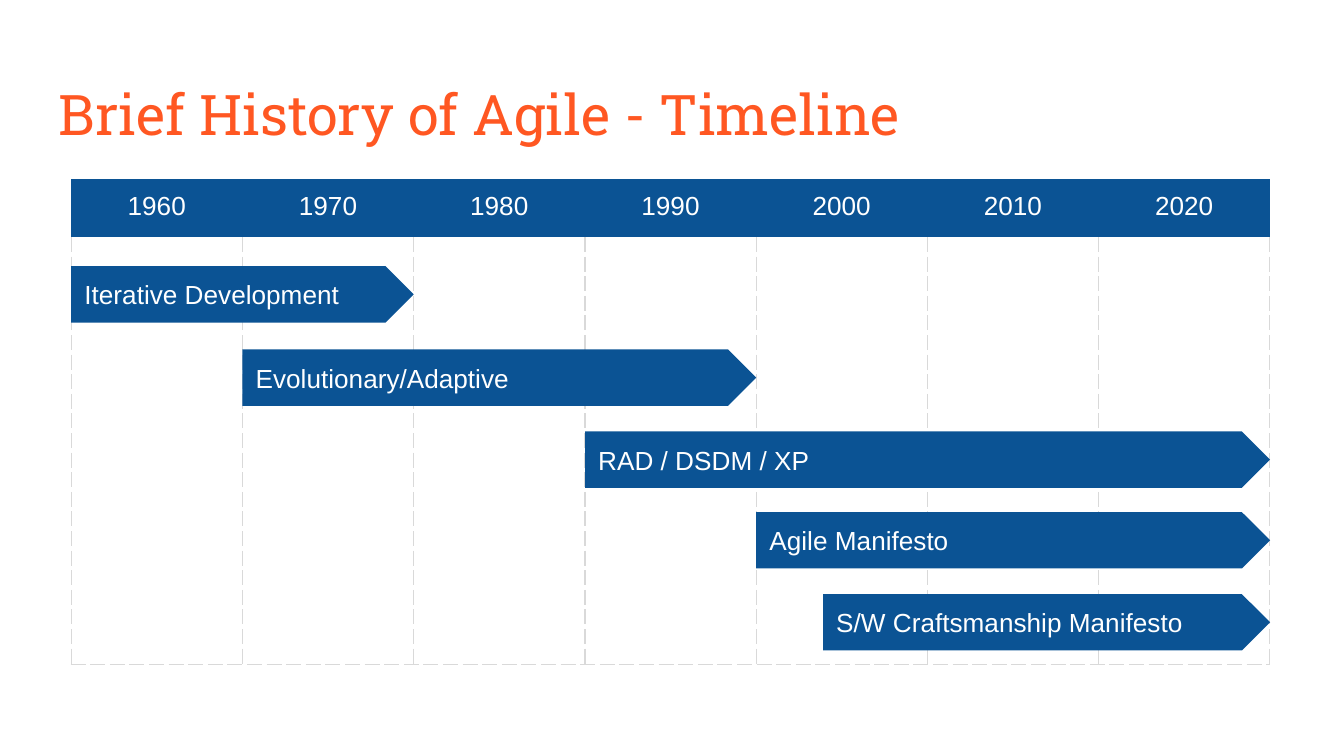
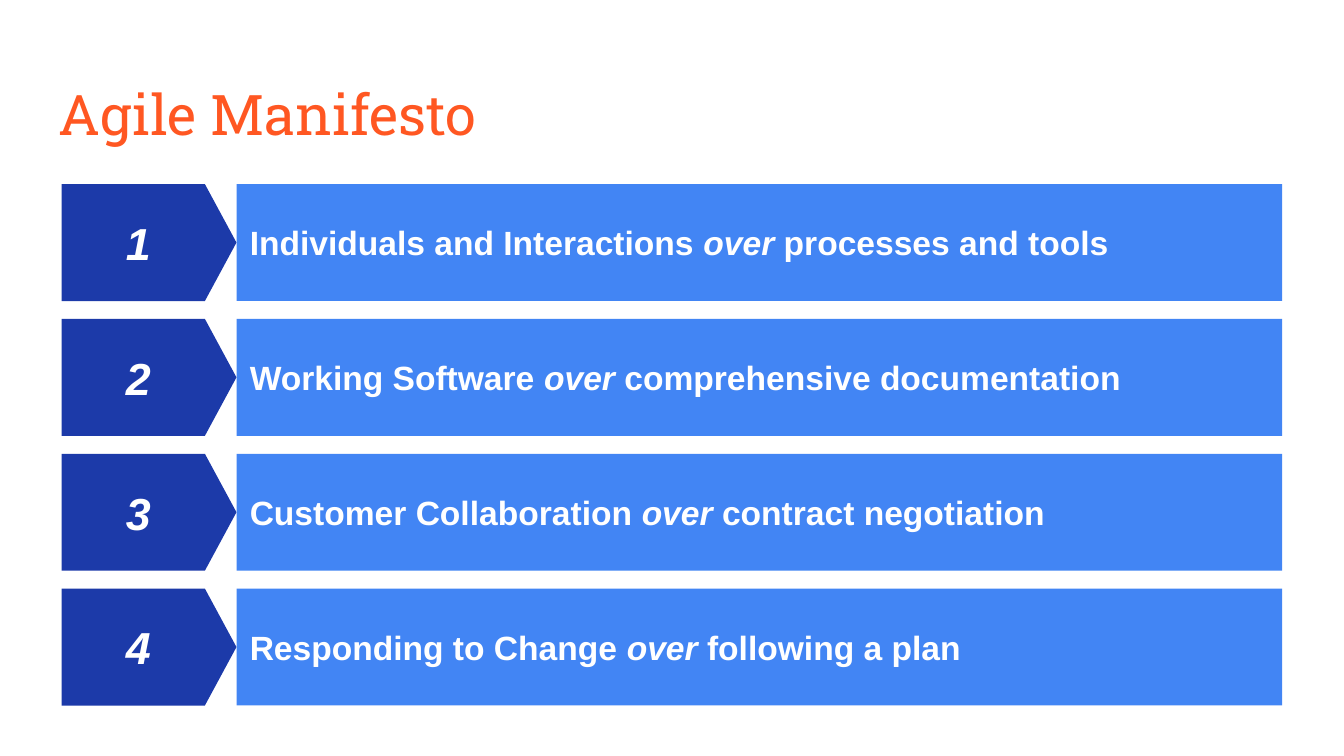
from dataclasses import dataclass
from typing import Any, NamedTuple

from lxml.etree import SubElement
from pptx import Presentation
from pptx.dml.color import RGBColor
from pptx.enum.shapes import MSO_SHAPE as Preset
from pptx.enum.text import MSO_ANCHOR as Anchor, PP_ALIGN as Align
from pptx.oxml import parse_xml
from pptx.oxml.ns import nsdecls, qn
from pptx.util import Inches, Pt


@dataclass(frozen=True)
class Theme:
    title: str = "FF5722"
    timeline: str = "0B5394"
    grid: str = "D9D9D9"
    number: str = "1C3AA9"
    value: str = "4285F4"
    white: str = "FFFFFF"
    title_font: str = "Roboto Slab"
    body_font: str = "Arial"
    title_size: int = 30
    timeline_size: int = 14
    value_size: int = 18
    number_size: int = 24


class Area(NamedTuple):
    """A rectangle in inches."""
    left: float
    top: float
    width: float
    height: float

    def lengths(self) -> list[int]:
        return [Inches(value) for value in self]


class Span(NamedTuple):
    text: str
    size: int
    bold: bool = False
    italic: bool = False
    color: str = Theme.white
    font: str = Theme.body_font


class Era(NamedTuple):
    """A bar on the timeline, from and to in decades after 1960."""
    name: str
    top: float
    start: float
    end: float


class Value(NamedTuple):
    preferred: str
    other: str


THEME = Theme()
PAGE_WIDTH = 10
PAGE_HEIGHT = PAGE_WIDTH * 9 / 16
INSETS = {f"margin_{side}": Inches(0.1) for side in ("left", "right", "top", "bottom")}
TITLE_AREA = Area(0.34, 0.49, 9.32, 0.63)
NO_STYLE = "{2D5ABB26-0587-4C30-8999-92F81FD0307C}"

DECADES = range(1960, 2030, 10)
GRID = Area(0.53, 1.33, 8.92, 3.58)
HEADER_HEIGHT = 0.4
DECADE_WIDTH = GRID.width / len(DECADES)
ERA_HEIGHT = 0.42
ERAS = [
    Era("Iterative Development", 1.98, 0, 2),
    Era("Evolutionary/Adaptive", 2.6, 1, 4),
    Era("RAD / DSDM / XP", 3.21, 3, 7),
    Era("Agile Manifesto", 3.81, 4, 7),
    Era("S/W Craftsmanship Manifesto", 4.42, 4.39, 7),
]

VALUE_TOP, VALUE_PITCH, VALUE_HEIGHT = 1.37, 1.0, 0.87
LAST_VALUE_TOP = 4.38
VALUES = [
    Value("Individuals and Interactions", "processes and tools"),
    Value("Working Software", "comprehensive documentation"),
    Value("Customer Collaboration", "contract negotiation"),
    Value("Responding to Change", "following a plan"),
]
VALUE_PITCH = (LAST_VALUE_TOP - VALUE_TOP) / (len(VALUES) - 1)


def apply(target: Any, **formats: Any) -> None:
    for name, value in formats.items():
        setattr(target, name, value)


def write(frame: Any, spans: list[Span], align: Align = Align.LEFT) -> None:
    para = frame.paragraphs[0]
    para.alignment = align
    for span in spans:
        run = para.add_run()
        run.text = span.text
        apply(run.font, name=span.font, size=Pt(span.size), bold=span.bold, italic=span.italic)
        run.font.color.rgb = RGBColor.from_string(span.color)


def write_in_shape(shape: Any, spans: list[Span], align: Align = Align.LEFT,
                   anchor: Anchor = Anchor.MIDDLE) -> None:
    apply(shape.text_frame, word_wrap=True, vertical_anchor=anchor, **INSETS)
    write(shape.text_frame, spans, align)


def paint(target: Any, color: str) -> None:
    target.fill.solid()
    target.fill.fore_color.rgb = RGBColor.from_string(color)


def add_block(page: Any, preset: Preset, area: Area, color: str) -> Any:
    block = page.shapes.add_shape(preset, *area.lengths())
    block.shadow.inherit = False
    block.line.fill.background()
    paint(block, color)
    return block


def add_page(deck: Any, title: str) -> Any:
    page = deck.slides.add_slide(deck.slide_layouts[6])
    box = page.shapes.add_textbox(*TITLE_AREA.lengths())
    span = Span(title, THEME.title_size, color=THEME.title, font=THEME.title_font)
    write_in_shape(box, [span], anchor=Anchor.TOP)
    return page


def add_dashed_borders(cell: Any) -> None:
    properties = cell._tc.get_or_add_tcPr()
    for index, side in enumerate(("lnL", "lnR", "lnB")):
        properties.insert(index, parse_xml(
            f'<a:{side} {nsdecls("a")} w="{Pt(0.75)}"><a:solidFill>'
            f'<a:srgbClr val="{THEME.grid}"/></a:solidFill>'
            f'<a:prstDash val="dash"/></a:{side}>'))


def clear_style(table: Any) -> None:
    apply(table, first_row=False, horz_banding=False)
    properties = table._tbl.tblPr
    style = properties.find(qn("a:tableStyleId"))
    if style is None:
        style = SubElement(properties, qn("a:tableStyleId"))
    style.text = NO_STYLE


def add_decade_grid(page: Any) -> None:
    table = page.shapes.add_table(2, len(DECADES), *GRID.lengths()).table
    clear_style(table)
    table.rows[0].height = Inches(HEADER_HEIGHT)
    table.rows[1].height = Inches(GRID.height - HEADER_HEIGHT)
    for column, decade in enumerate(DECADES):
        table.columns[column].width = Inches(DECADE_WIDTH)
        header, body = table.cell(0, column), table.cell(1, column)
        apply(header, **INSETS)
        apply(body, **INSETS)
        paint(header, THEME.timeline)
        write(header.text_frame, [Span(str(decade), THEME.timeline_size)], Align.CENTER)
        body.fill.background()
        add_dashed_borders(body)


def build_timeline(deck: Any) -> None:
    page = add_page(deck, "Brief History of Agile - Timeline")
    add_decade_grid(page)
    for era in ERAS:
        area = Area(GRID.left + era.start * DECADE_WIDTH, era.top,
                    (era.end - era.start) * DECADE_WIDTH, ERA_HEIGHT)
        bar = add_block(page, Preset.PENTAGON, area, THEME.timeline)
        write_in_shape(bar, [Span(era.name, THEME.timeline_size)])


def build_manifesto(deck: Any) -> None:
    page = add_page(deck, "Agile Manifesto")
    for index, value in enumerate(VALUES):
        top = VALUE_TOP + index * VALUE_PITCH
        band = add_block(page, Preset.RECTANGLE, Area(1.76, top, 7.78, VALUE_HEIGHT), THEME.value)
        write_in_shape(band, [
            Span(f"{value.preferred} ", THEME.value_size, bold=True),
            Span("over", THEME.value_size, bold=True, italic=True),
            Span(f" {value.other}", THEME.value_size, bold=True),
        ])
        arrow = add_block(page, Preset.PENTAGON, Area(0.46, top, 1.3, VALUE_HEIGHT), THEME.number)
        arrow.adjustments[0] = 0.27
        box = page.shapes.add_textbox(*Area(0.59, top, 0.88, VALUE_HEIGHT).lengths())
        number = Span(str(index + 1), THEME.number_size, bold=True, italic=True)
        write_in_shape(box, [number], Align.CENTER)


def main() -> None:
    deck = Presentation()
    apply(deck, slide_width=Inches(PAGE_WIDTH), slide_height=Inches(PAGE_HEIGHT))
    build_timeline(deck)
    build_manifesto(deck)
    deck.save("out.pptx")


if __name__ == "__main__":
    main()
